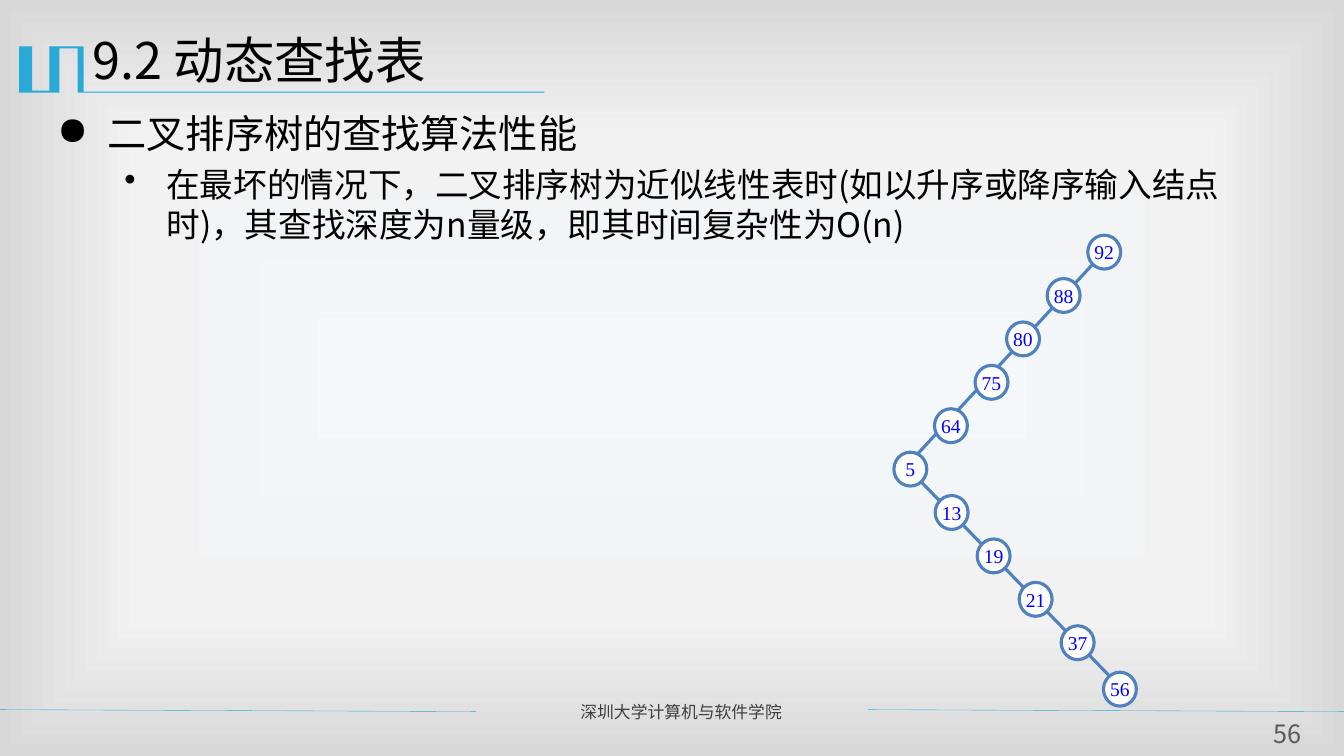
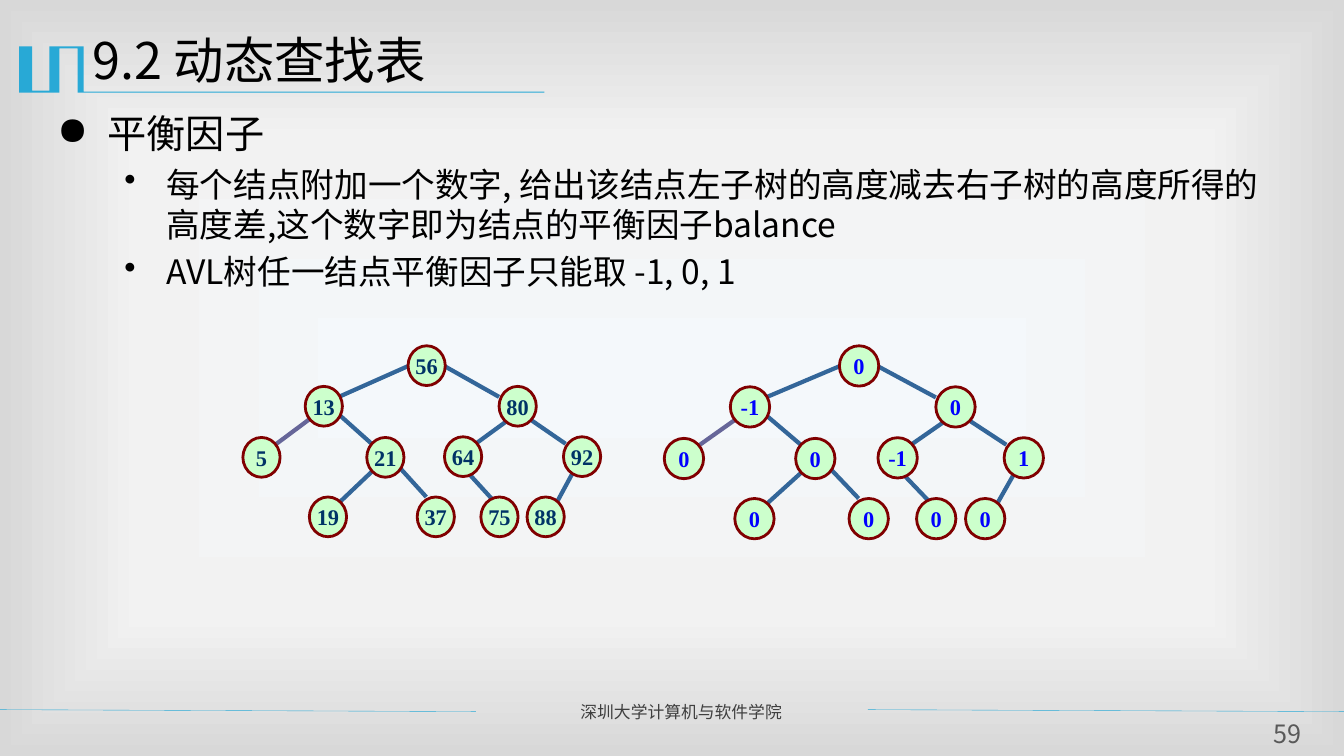
from dataclasses import dataclass

from pptx import Presentation
from pptx.dml.color import RGBColor
from pptx.enum.shapes import MSO_CONNECTOR, MSO_SHAPE
from pptx.enum.text import MSO_ANCHOR, PP_ALIGN
from pptx.oxml import parse_xml
from pptx.oxml.ns import nsdecls, qn
from pptx.oxml.xmlchemy import OxmlElement
from pptx.util import Pt

SANS = "Noto Sans CJK SC"
SERIF = "Times New Roman"
BLACK, ACCENT, FOOTER_GREY, NUMBER_GREY = "000000", "28A9D6", "3F3F3F", "595959"
NODE_BLUE, KEY_NAVY = "0000FF", "003366"
TITLE = "9.2 动态查找表"
FOOTER = "深圳大学计算机与软件学院"
TITLE_MARK = [
    (59, 33.1), (59.8, 33.1), (59.8, 65.5), (388.8, 65.5), (388.8, 66.2),
    (55.4, 66.2), (55.4, 34.6), (42.5, 34.6), (42.5, 66.2), (13.7, 66.2),
    (13.7, 33.1), (23, 33.1), (23, 64.8), (35.3, 64.8), (35.3, 33.1),
]
BACKGROUND_STOPS = [(0, "F4F8FB"), (63, "F2F2F2"), (100, "D8D8D8")]


@dataclass(frozen=True)
class Bullet:
    mark: str
    size: float
    left: float
    hanging: float


@dataclass(frozen=True)
class NodeStyle:
    width: float
    height: float
    fill: str
    outline: str
    weight: float
    size: float
    color: str
    bold: bool = False


@dataclass(frozen=True)
class Edge:
    x1: float
    y1: float
    x2: float
    y2: float
    color: str = "336699"
    weight: float = 3


@dataclass(frozen=True)
class Placement:
    """Where a tree's own origin falls on the slide, and how it is stretched."""
    left: float = 0
    top: float = 0
    scale_x: float = 1
    scale_y: float = 1

    def point(self, x: float, y: float) -> tuple[float, float]:
        return self.left + x * self.scale_x, self.top + y * self.scale_y


HEADING = Bullet("●", 28, 36, 36)
DETAIL = Bullet("•", 24, 78, 30)

CHAIN_STYLE = NodeStyle(23.5, 24.2, "FFFFFF", "4F81BD", 2.25, 14, NODE_BLUE)
CHAIN_NODES = [
    (777, 168), (748, 199), (719, 230), (696.5, 261), (667.5, 292), (638.5, 323),
    (668, 354), (698, 385), (728, 416), (758, 447), (788.2, 480.2),
]
CHAIN_KEYS = ["92", "88", "80", "75", "64", "5", "13", "19", "21", "37", "56"]
CHAIN_EDGES = [
    Edge(782.6, 186.5, 644.4, 336.2, "4F81BD", 2.25),
    Edge(655.9, 342, 793.4, 483.8, "4F81BD", 2.25),
]

KEY_STYLE = NodeStyle(26.6, 28.4, "CCFFCC", "800000", 2, 16, KEY_NAVY, True)
BALANCE_STYLE = NodeStyle(28.1, 28.8, "CCFFCC", "800000", 2, 16, NODE_BLUE, True)
AVL_NODES = [
    (118, 0), (44.5, 29), (183, 29), (0, 65.5), (88.5, 65.5), (144, 65),
    (229, 65), (47.5, 108), (124.5, 108), (170, 108), (203, 108),
]
AVL_KEYS = ["56", "13", "80", "5", "21", "64", "92", "19", "37", "75", "88"]
AVL_BALANCES = ["0", "-1", "0", "0", "0", "-1", "1", "0", "0", "0", "0"]
AVL_EDGES = [
    Edge(118, 14.5, 68.5, 36.5), Edge(144, 14.5, 183, 36.5),
    Edge(47.5, 52.5, 24, 70, "666699"), Edge(68.5, 49, 92, 70),
    Edge(193, 50.5, 163.5, 72), Edge(206.5, 53.5, 230.5, 70),
    Edge(92, 90, 62.5, 118), Edge(111.5, 86.5, 131, 108),
    Edge(157, 86.5, 183, 115), Edge(242, 79, 222.5, 115),
]


def rgb(color: str) -> RGBColor:
    return RGBColor.from_string(color)


def write(para, text: str, *, size: float, color: str = BLACK, font: str = SANS,
          bold: bool = False, align: PP_ALIGN = PP_ALIGN.LEFT) -> None:
    para.alignment = align
    span = para.add_run()
    span.text = text
    span.font.size = Pt(size)
    span.font.bold = bold
    span.font.color.rgb = rgb(color)
    span.font.name = font
    east_asian = OxmlElement("a:ea")
    east_asian.set("typeface", font)
    span.font._element.append(east_asian)


def add_box(slide, left: float, top: float, width: float, height: float):
    frame = slide.shapes.add_textbox(Pt(left), Pt(top), Pt(width), Pt(height)).text_frame
    frame.word_wrap = True
    return frame


def set_bullet(para, bullet: Bullet) -> None:
    properties = para._p.get_or_add_pPr()
    properties.set("marL", str(Pt(bullet.left)))
    properties.set("indent", str(-Pt(bullet.hanging)))
    mark = OxmlElement("a:buChar")
    mark.set("char", bullet.mark)
    properties.append(mark)


def add_body(slide, items: list[tuple[Bullet, str]]) -> None:
    frame = add_box(slide, 33.8, 74.9, 873.4, 131.8)
    for index, (bullet, text) in enumerate(items):
        para = frame.add_paragraph() if index else frame.paragraphs[0]
        set_bullet(para, bullet)
        if index:
            para.space_before = Pt(bullet.size * 0.2)
        write(para, text, size=bullet.size)


def add_line(shapes, start: tuple[float, float], end: tuple[float, float],
             color: str, weight: float) -> None:
    line = shapes.add_connector(MSO_CONNECTOR.STRAIGHT, *map(Pt, start + end))
    line.line.color.rgb = rgb(color)
    line.line.width = Pt(weight)
    line._element.spPr.append(OxmlElement("a:effectLst"))


def add_node(shapes, left: float, top: float, label: str, style: NodeStyle) -> None:
    node = shapes.add_shape(MSO_SHAPE.OVAL, Pt(left), Pt(top), Pt(style.width), Pt(style.height))
    node.shadow.inherit = False
    node.fill.solid()
    node.fill.fore_color.rgb = rgb(style.fill)
    node.line.color.rgb = rgb(style.outline)
    node.line.width = Pt(style.weight)
    frame = node.text_frame
    frame.word_wrap = False
    frame.vertical_anchor = MSO_ANCHOR.MIDDLE
    write(frame.paragraphs[0], label, size=style.size, color=style.color, font=SERIF,
          bold=style.bold, align=PP_ALIGN.CENTER)


def add_tree(slide, nodes: list[tuple[float, float]], labels: list[str], edges: list[Edge],
             style: NodeStyle, placement: Placement = Placement()) -> None:
    shapes = slide.shapes.add_group_shape().shapes
    for edge in edges:
        add_line(shapes, placement.point(edge.x1, edge.y1),
                 placement.point(edge.x2, edge.y2), edge.color, edge.weight)
    for node, label in zip(nodes, labels):
        add_node(shapes, *placement.point(*node), label, style)


def set_background(master) -> None:
    """Give the master a gradient that spreads from the centre to the edges."""
    master.background.fill.gradient()
    gradient = master.element.find(".//" + qn("a:gradFill"))
    for child in list(gradient):
        gradient.remove(child)
    stops = "".join(
        f'<a:gs pos="{percent * 1000}"><a:srgbClr val="{color}"/></a:gs>'
        for percent, color in BACKGROUND_STOPS
    )
    gradient.append(parse_xml(f'<a:gsLst {nsdecls("a")}>{stops}</a:gsLst>'))
    gradient.append(parse_xml(
        f'<a:path {nsdecls("a")} path="rect">'
        '<a:fillToRect l="50000" t="50000" r="50000" b="50000"/></a:path>'
    ))


def add_title_mark(slide) -> None:
    points = [(Pt(x), Pt(y)) for x, y in TITLE_MARK]
    builder = slide.shapes.build_freeform(*points[0])
    builder.add_line_segments(points[1:], close=True)
    mark = builder.convert_to_shape()
    mark.shadow.inherit = False
    mark.fill.solid()
    mark.fill.fore_color.rgb = rgb(ACCENT)
    mark.line.fill.background()


def add_page(deck, number: int, items: list[tuple[Bullet, str]]):
    """Add a slide with the shared title, footer and number, and its bullets."""
    slide = deck.slides.add_slide(deck.slide_layouts[6])
    add_title_mark(slide)
    for left, right in ((-0.7, 340), (620, 960)):
        add_line(slide.shapes, (left, 506.9), (right, 508.3), ACCENT, 0.25)
    footer = add_box(slide, 407.5, 497.5, 205.2, 21.6)
    write(footer.paragraphs[0], FOOTER, size=12, color=FOOTER_GREY, align=PP_ALIGN.JUSTIFY)
    add_body(slide, items)
    title = add_box(slide, 59, 17.3, 864, 62.6)
    write(title.paragraphs[0], TITLE, size=36)
    page_number = add_box(slide, 898.6, 513.4, 42.5, 22.3)
    page_number.margin_left = page_number.margin_right = 0
    page_number.margin_top = page_number.margin_bottom = 0
    write(page_number.paragraphs[0], str(number), size=18, color=NUMBER_GREY,
          align=PP_ALIGN.CENTER)
    return slide


def main() -> None:
    deck = Presentation()
    deck.slide_width, deck.slide_height = Pt(960), Pt(540)
    set_background(deck.slide_master)

    worst_case = add_page(deck, 56, [
        (HEADING, "二叉排序树的查找算法性能"),
        (DETAIL, "在最坏的情况下，二叉排序树为近似线性表时(如以升序或降序输入结点时)，"
                 "其查找深度为n量级，即其时间复杂性为O(n)"),
    ])
    add_tree(worst_case, CHAIN_NODES, CHAIN_KEYS, CHAIN_EDGES, CHAIN_STYLE)

    balance = add_page(deck, 59, [
        (HEADING, "平衡因子"),
        (DETAIL, "每个结点附加一个数字, 给出该结点左子树的高度减去右子树的高度所得的高度差,"
                 "这个数字即为结点的平衡因子balance"),
        (DETAIL, "AVL树任一结点平衡因子只能取 -1, 0, 1"),
    ])
    add_tree(balance, AVL_NODES, AVL_KEYS, AVL_EDGES, KEY_STYLE, Placement(173.5, 247))
    add_tree(balance, AVL_NODES, AVL_BALANCES, AVL_EDGES, BALANCE_STYLE,
             Placement(474.5, 247, 1.06, 1.01))

    deck.save("out.pptx")


if __name__ == "__main__":
    main()
